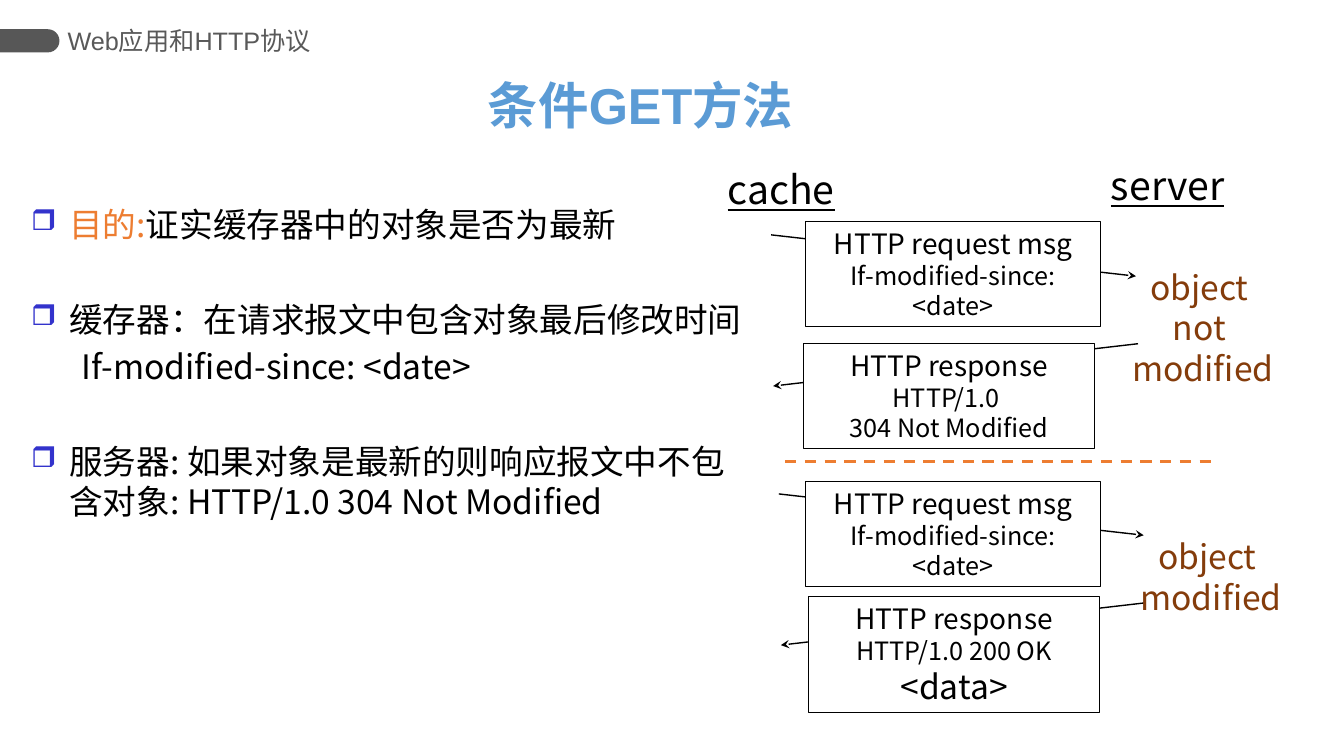
from lxml.etree import SubElement
from pptx import Presentation
from pptx.dml.color import RGBColor
from pptx.enum.dml import MSO_LINE
from pptx.enum.shapes import MSO_CONNECTOR, MSO_SHAPE
from pptx.enum.text import MSO_ANCHOR, PP_ALIGN
from pptx.oxml.ns import qn
from pptx.util import Inches, Pt

BLACK = RGBColor(0x00, 0x00, 0x00)
WHITE = RGBColor(0xFF, 0xFF, 0xFF)
DARK_GREY = RGBColor(0x57, 0x57, 0x57)
GREY = RGBColor(0x59, 0x59, 0x59)
BLUE = RGBColor(0x5B, 0x9B, 0xD5)
ORANGE = RGBColor(0xED, 0x7D, 0x31)
BROWN = RGBColor(0x84, 0x3C, 0x0B)
BULLET = RGBColor(0x33, 0x33, 0xCC)

COLUMNS, ROWS = 40, 30
HEAD_FONT, BODY_FONT = "Arial", "Noto Sans CJK SC"


class Deck:
    """One slide on a 40 by 30 grid; every length is in columns or rows."""

    def __init__(self):
        self.prs = Presentation()
        self.prs.slide_width = Inches(13.33)
        self.prs.slide_height = Inches(7.5)
        self.s = self.prs.slides.add_slide(self.prs.slide_layouts[6])

    def x(self, columns):
        return round(columns * self.prs.slide_width / COLUMNS)

    def y(self, rows):
        return round(rows * self.prs.slide_height / ROWS)

    def place(self, left, top, width, height):
        return self.x(left), self.y(top), self.x(width), self.y(height)

    def run(self, p, text, size, color=BLACK, font=BODY_FONT, bold=None, underline=None):
        r = p.add_run()
        r.text = text
        r.font.size = Pt(size)
        r.font.name = font
        r.font.color.rgb = color
        r.font.bold = bold
        r.font.underline = underline
        SubElement(r._r.get_or_add_rPr(), qn("a:ea")).set("typeface", BODY_FONT)

    def lines(self, tf, lines, align=PP_ALIGN.CENTER, **style):
        """Write (text, size) pairs, one paragraph each."""
        for i, (text, size) in enumerate(lines):
            p = tf.add_paragraph() if i else tf.paragraphs[0]
            p.alignment = align
            self.run(p, text, size, **style)

    def text(self, at, lines, wrap=True, anchor=MSO_ANCHOR.TOP, **style):
        tf = self.s.shapes.add_textbox(*self.place(*at)).text_frame
        tf.word_wrap = wrap
        tf.vertical_anchor = anchor
        self.lines(tf, lines, **style)
        return tf

    def message(self, at, lines):
        sp = self.s.shapes.add_shape(MSO_SHAPE.RECTANGLE, *self.place(*at))
        sp.shadow.inherit = False
        sp.fill.solid()
        sp.fill.fore_color.rgb = WHITE
        sp.line.color.rgb = BLACK
        sp.line.width = Pt(1)
        sp.text_frame.vertical_anchor = MSO_ANCHOR.TOP
        sp.text_frame.word_wrap = True
        self.lines(sp.text_frame, lines)

    def line(self, x1, y1, x2, y2, color=BLACK, width=1, dash=None, arrow=False):
        c = self.s.shapes.add_connector(
            MSO_CONNECTOR.STRAIGHT, self.x(x1), self.y(y1), self.x(x2), self.y(y2))
        c.line.color.rgb = color
        c.line.width = Pt(width)
        if dash:
            c.line.dash_style = dash
        if arrow:
            SubElement(c.line._get_or_add_ln(), qn("a:tailEnd")).set("type", "stealth")
        SubElement(c._element.spPr, qn("a:effectLst"))

    def tab(self, left, top, width, height):
        """Bar whose right end is round: a quarter-turned shape with two round corners."""
        x, y, w, h = self.place(left, top, width, height)
        sp = self.s.shapes.add_shape(
            MSO_SHAPE.ROUND_2_SAME_RECTANGLE, x + (w - h) // 2, y + (h - w) // 2, h, w)
        sp.rotation = 90
        sp.adjustments[0] = 0.5
        sp.shadow.inherit = False
        sp.fill.solid()
        sp.fill.fore_color.rgb = DARK_GREY
        sp.line.fill.background()

    def points(self, at, points):
        """Write (bulleted, space before, runs) paragraphs with hanging indents."""
        tf = self.s.shapes.add_textbox(*self.place(*at)).text_frame
        tf.word_wrap = True
        for i, (bulleted, before, runs) in enumerate(points):
            p = tf.add_paragraph() if i else tf.paragraphs[0]
            p.space_before = Pt(before)
            for text, color in runs:
                self.run(p, text, 24, color)
            pPr = p._p.get_or_add_pPr()
            margin, indent = (0.38, -0.38) if bulleted else (0.81, -0.31)
            pPr.set("marL", str(Inches(margin)))
            pPr.set("indent", str(Inches(indent)))
            if bulleted:
                color = SubElement(pPr, qn("a:buClr"))
                SubElement(color, qn("a:srgbClr")).set("val", str(BULLET))
                SubElement(pPr, qn("a:buSzPct")).set("val", "85000")
                SubElement(pPr, qn("a:buChar")).set("char", "❒")


REQUEST = [("HTTP request msg", 20), ("If-modified-since: <date>", 18)]
NOT_MODIFIED = [("HTTP response", 20), ("HTTP/1.0 ", 18), ("304 Not Modified", 18)]
MODIFIED = [("HTTP response", 20), ("HTTP/1.0 200 OK", 18), ("<data>", 24)]

# arrow shift (columns, rows), request box, response box, response, label box, label
ROUNDS = [
    (0, 0, (23.97, 8.8, 8.79, 4.16), (23.91, 13.64, 8.67, 4.16), NOT_MODIFIED,
     (33.33, 10.4, 4.95, 5.24), ["object ", "not ", "modified"]),
    (0.23, 10.28, (23.97, 19.12, 8.79, 4.16), (24.06, 23.68, 8.67, 4.6), MODIFIED,
     (33.57, 21.08, 4.95, 3.64), ["object ", "modified"]),
]

POINTS = [
    (True, 0, [("目的:", ORANGE), ("证实缓存器中的对象是否为最新", BLACK)]),
    (True, 39, [("缓存器：在请求报文中包含对象最后修改时间", BLACK)]),
    (False, 4.8, [("If-modified-since: <date>", BLACK)]),
    (True, 39, [("服务器: 如果对象是最新的则响应报文中不包含对象: "
                 "HTTP/1.0 304 Not Modified", BLACK)]),
]


def main():
    deck = Deck()
    deck.tab(0, 1.16, 1.77, 0.92)
    title = deck.text((6, 1.8, 26.13, 5), [("条件GET方法", 36)], anchor=MSO_ANCHOR.MIDDLE,
                      color=BLUE, font=HEAD_FONT, bold=True)
    title.paragraphs[0].line_spacing = 0.9
    deck.points((0.63, 7.88, 22.05, 15.92), POINTS)
    section = deck.text((2.01, 0.76, 7.89, 1.68), [("Web应用和HTTP协议", 18)],
                        anchor=MSO_ANCHOR.MIDDLE, align=PP_ALIGN.LEFT,
                        color=GREY, font=HEAD_FONT)
    section.margin_left = section.margin_right = 0

    for at, host in [((21.33, 6.36, 3.84, 2.28), "cache"),
                     ((32.73, 6.2, 4.05, 2.28), "server")]:
        deck.text(at, [(host, 28)], wrap=False, underline=True)
    deck.line(23.37, 18.32, 36.18, 18.32, ORANGE, 2, MSO_LINE.DASH)
    for dx, dy, request_at, response_at, response, label_at, label in ROUNDS:
        deck.line(22.95 + dx, 9.32 + dy, 33.81 + dx, 10.96 + dy, arrow=True)
        deck.message(request_at, REQUEST)
        deck.line(33.87 + dx, 13.64 + dy, 23.01 + dx, 15.32 + dy, arrow=True)
        deck.message(response_at, response)
        deck.text(label_at, [(word, 24) for word in label], wrap=False, color=BROWN)
    deck.prs.save("out.pptx")


if __name__ == "__main__":
    main()
